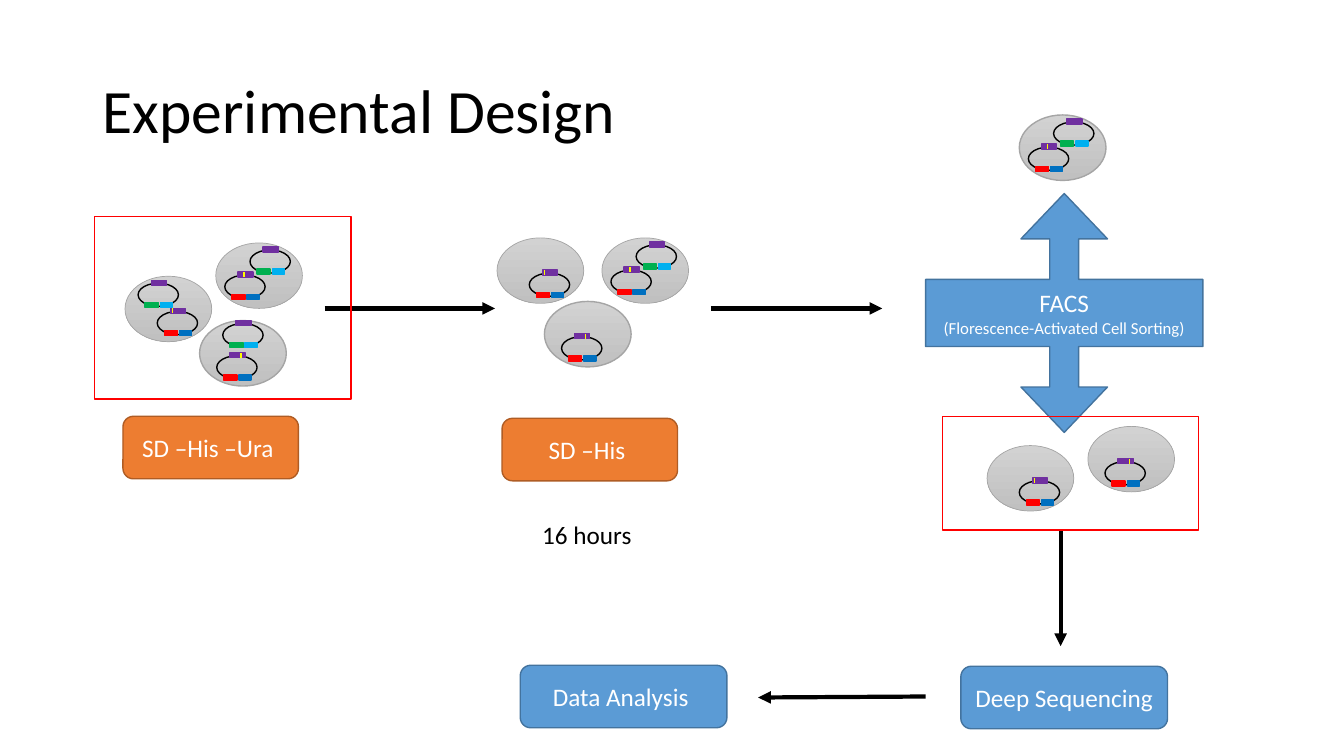
from lxml.etree import SubElement
from pptx import Presentation
from pptx.dml.color import RGBColor
from pptx.enum.shapes import MSO_CONNECTOR, MSO_SHAPE as Geo
from pptx.enum.text import MSO_ANCHOR, PP_ALIGN
from pptx.oxml.ns import qn
from pptx.util import Inches, Pt

FONT = "Calibri"
COLORS = {
    "black": "000000", "white": "FFFFFF", "frame": "FF0000",
    "cell_top": "D2D2D2", "cell_bottom": "C0C0C0", "cell_edge": "A5A5A5",
    "promoter": "7030A0", "mark": "FFFF00",
    "red": "FF0000", "blue": "0070C0", "green": "00B050", "sky": "00B0F0",
    "medium": "ED7D31", "medium_edge": "AF5C24",
    "step": "5B9BD5", "step_edge": "43739E",
}
CELL_SIZE = (0.86, 0.65)
RING_SIZE = (0.4, 0.23)
STRAINS = {
    "left": {"target": (0.32, 0.35), "mark": 0.15, "editor": (0.13, 0.07)},
    "middle": {"target": (0.17, 0.35), "mark": 0.24, "editor": (0.23, 0.03)},
    "right": {"target": (0.09, 0.32), "mark": 0.19, "editor": (0.34, 0.07)},
}


def color(name):
    """Return the named colour."""
    return RGBColor.from_string(COLORS[name])


def add_box(shapes, geometry, box, fill=None, edge="black", weight=1):
    """Add a preset shape with a flat fill, or none, and an outline."""
    shape = shapes.add_shape(geometry, *map(Inches, box))
    shape.shadow.inherit = False
    if fill:
        shape.fill.solid()
        shape.fill.fore_color.rgb = color(fill)
    else:
        shape.fill.background()
    shape.line.color.rgb = color(edge)
    shape.line.width = Pt(weight)
    return shape


def add_line(shapes, start, end, stroke="black", weight=3, arrow=True):
    """Add a straight line, with an arrowhead at its end if wanted."""
    line = shapes.add_connector(
        MSO_CONNECTOR.STRAIGHT, *map(Inches, (*start, *end)))
    line.line.color.rgb = color(stroke)
    line.line.width = Pt(weight)
    properties = line.element.spPr
    if arrow:
        SubElement(properties.find(qn("a:ln")), qn("a:tailEnd"), type="triangle")
    SubElement(properties, qn("a:effectLst"))


def write(shape, lines, ink="white", align=PP_ALIGN.CENTER):
    """Write (text, size) lines into a shape."""
    frame = shape.text_frame
    frame.text = "\n".join(text for text, _ in lines)
    for paragraph, (_, size) in zip(frame.paragraphs, lines):
        paragraph.alignment = align
        for run in paragraph.runs:
            run.font.name = FONT
            run.font.size = Pt(size)
            run.font.color.rgb = color(ink)


def add_plasmid(shapes, left, top, genes, mark=None):
    """Draw a ring with a promoter, two genes and an optional mark."""
    add_box(shapes, Geo.OVAL, (left, top, *RING_SIZE))
    parts = [("promoter", 0.13, -0.03, 0.15),
             (genes[0], 0.07, 0.19, 0.13), (genes[1], 0.22, 0.19, 0.12)]
    for part, dx, dy, width in parts:
        add_box(shapes, Geo.RECTANGLE, (left + dx, top + dy, width, 0.05),
                part, part)
    if mark:
        add_line(shapes, (left + mark, top - 0.03), (left + mark, top + 0.02),
                 "mark", 1, arrow=False)


def add_cell(slide, left, top, strain, edited=False, weight=0.5):
    """Draw a grouped yeast cell holding one plasmid, or two if edited."""
    shapes = slide.shapes.add_group_shape().shapes
    body = add_box(shapes, Geo.OVAL, (left, top, *CELL_SIZE),
                   edge="cell_edge", weight=weight)
    body.fill.gradient()
    body.fill.gradient_angle = 270
    for stop, shade in zip(body.fill.gradient_stops, ("cell_top", "cell_bottom")):
        stop.color.rgb = color(shade)
    layout = STRAINS[strain]
    if edited:
        dx, dy = layout["editor"]
        add_plasmid(shapes, left + dx, top + dy, ("green", "sky"))
    dx, dy = layout["target"]
    add_plasmid(shapes, left + dx, top + dy, ("red", "blue"), layout["mark"])


def add_label(slide, box, text, kind):
    """Add a rounded label for a medium or a step."""
    label = add_box(slide.shapes, Geo.ROUNDED_RECTANGLE, box, kind, kind + "_edge")
    label.text_frame.vertical_anchor = MSO_ANCHOR.MIDDLE
    write(label, [(text, 18)])


def add_title(slide, box):
    """Place and format the slide title."""
    title = slide.shapes.title
    title.left, title.top, title.width, title.height = map(Inches, box)
    write(title, [("Experimental Design", 44)], "black", PP_ALIGN.LEFT)
    title.text_frame.vertical_anchor = MSO_ANCHOR.MIDDLE
    title.text_frame.paragraphs[0].line_spacing = 0.9


def add_start_culture(slide, box):
    """Draw the framed starting culture with its medium below."""
    left, top, width, height = box
    add_cell(slide, left + 0.3, top + 0.59, "left", True)
    add_cell(slide, left + 1.04, top + 1.03, "middle", True, 1)
    add_cell(slide, left + 1.2, top + 0.26, "right", True)
    add_label(slide, (left + 0.28, top + 1.98, 1.74, 0.62), "SD –His –Ura ", "medium")
    add_line(slide.shapes, (left + 2.28, top + 0.91), (left + 3.97, top + 0.91))
    add_box(slide.shapes, Geo.RECTANGLE, box, edge="frame")


def add_grown_culture(slide, box):
    """Draw the second culture with its medium and growth time."""
    left, top, width, height = box
    add_cell(slide, left, top, "left")
    add_cell(slide, left + 0.47, top + 0.63, "middle", weight=1)
    add_cell(slide, left + 1.04, top, "right", True)
    add_label(slide, (left + 0.05, top + 1.79, 1.74, 0.62), "SD –His ", "medium")
    duration = slide.shapes.add_textbox(
        *map(Inches, (left + 0.35, top + 2.74, 1.1, 0.4)))
    duration.text_frame.word_wrap = False
    write(duration, [("16 hours", 18)], "black", PP_ALIGN.LEFT)
    add_line(slide.shapes, (left + 2.12, top + 0.7), (left + 3.82, top + 0.7))


def add_sorting(slide, box):
    """Draw the sorter between the discarded and the framed kept cells."""
    left, top, width, height = box
    add_cell(slide, left + 0.93, top, "right", True, 1)
    add_cell(slide, left + 0.61, top + 3.28, "left")
    add_cell(slide, left + 1.61, top + 3.09, "middle")
    sorter = add_box(slide.shapes, Geo.LEFT_RIGHT_ARROW_CALLOUT,
                     (left + 0.19, top + 0.59, 2.37, width), "step", "step_edge")
    sorter.rotation = 90
    for index, value in enumerate((0.121, 0.181, 0.19, 0.281)):
        sorter.adjustments[index] = value
    sorter.text_frame.vertical_anchor = MSO_ANCHOR.MIDDLE
    write(sorter, [("FACS", 18), ("(Florescence-Activated Cell Sorting)", 12)])
    sorter.element.txBody.find(qn("a:bodyPr")).set("vert", "vert270")
    add_box(slide.shapes, Geo.RECTANGLE, (left + 0.17, top + 2.99, 2.54, 1.13),
            edge="frame")


def add_readout(slide, box):
    """Draw the sequencing and analysis steps with their arrows."""
    left, top, width, height = box
    add_line(slide.shapes, (left + 5.36, top), (left + 5.36, top + 1.14))
    add_label(slide, (left + 4.37, top + 1.34, 2.05, 0.62), "Deep Sequencing ", "step")
    add_line(slide.shapes, (left + 4.02, top + 1.64), (left + 2.36, top + 1.65))
    add_label(slide, (left, top + 1.33, 2.05, 0.62), "Data Analysis ", "step")


def main():
    """Build and save the slide."""
    deck = Presentation()
    deck.slide_width, deck.slide_height = Inches(13.33), Inches(7.5)
    slide = deck.slides.add_slide(deck.slide_layouts.get_by_name("Title Only"))
    add_title(slide, (0.92, 0.4, 11.5, 1.45))
    add_start_culture(slide, (0.94, 2.15, 2.54, 1.81))
    add_grown_culture(slide, (4.93, 2.36, 1.9, 3.14))
    add_sorting(slide, (9.18, 1.14, 2.75, 4.12))
    add_readout(slide, (5.16, 5.27, 6.42, 1.96))
    deck.save("out.pptx")


if __name__ == "__main__":
    main()
